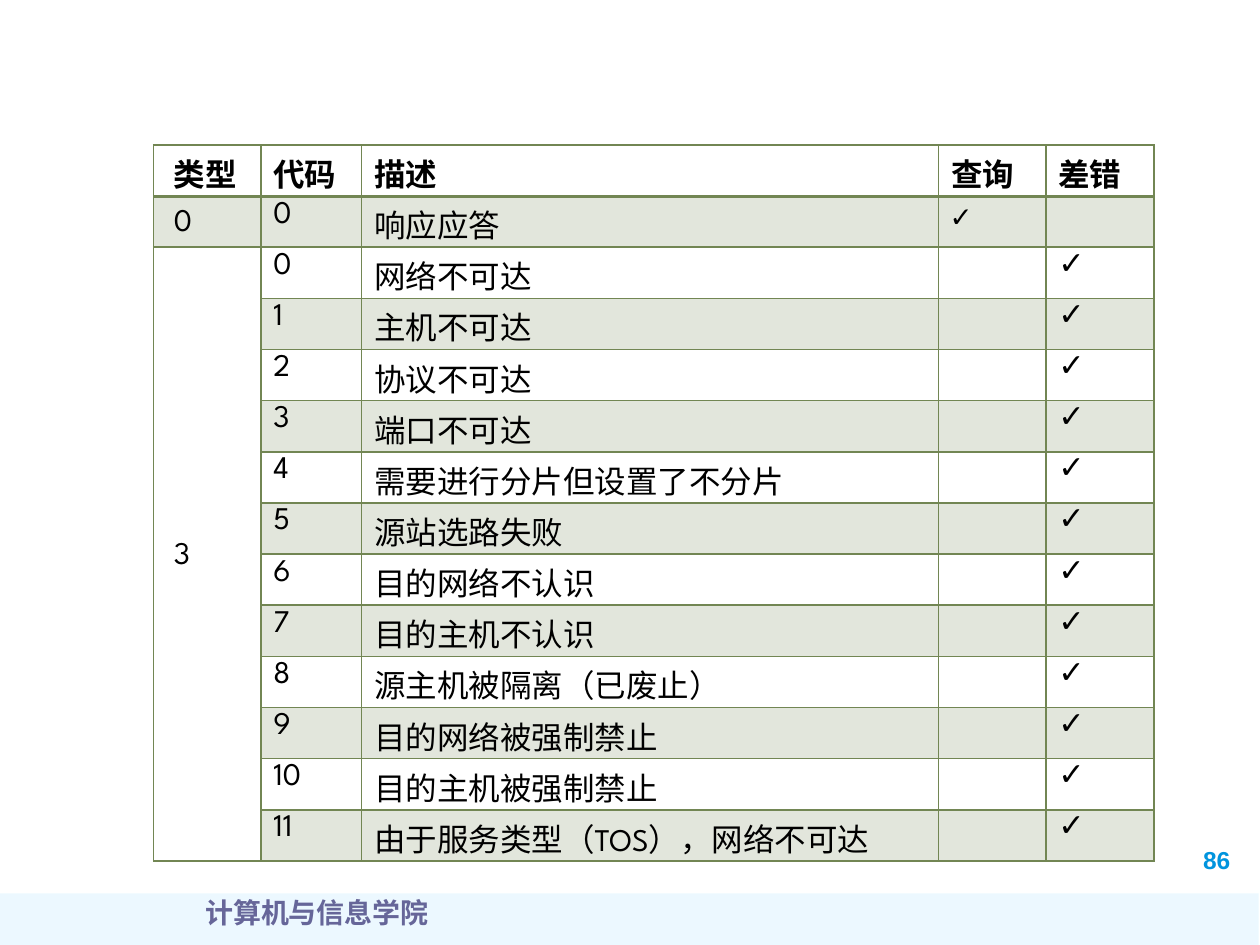
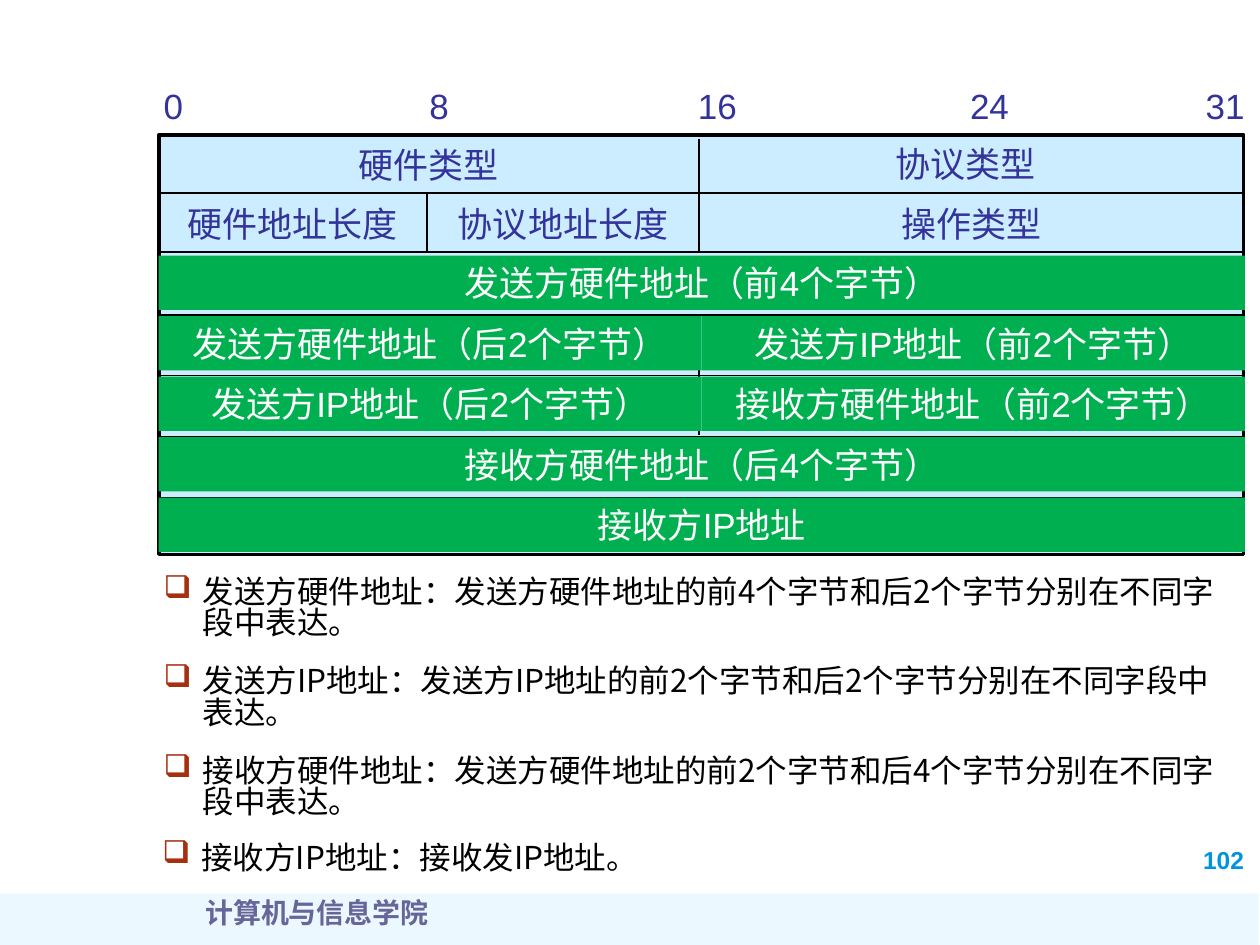
from lxml import etree
from pptx import Presentation, util as u
from pptx.dml.color import RGBColor
from pptx.enum import shapes, text
from pptx.oxml.ns import qn

Inches, Pt = u.Inches, u.Pt
COLORS = {
    "band": "A7E2FF", "number": "0094DE", "footer": "666699",
    "grid": "728653", "black": "000000", "white": "FFFFFF",
    "field": "CCECFF", "label": "333399", "address": "00B050", "bullet": "A53010",
}
CJK_FONT = "Noto Sans CJK SC"
TABLE_FONT = "League Spartan"
CHECK = "✓"
CENTER = text.PP_ALIGN.CENTER
MIDDLE = text.MSO_ANCHOR.MIDDLE


def rgb(name):
    return RGBColor.from_string(COLORS[name])


class Deck:
    """Holds the shared style and the slide being built."""

    def __init__(self):
        self.presentation = Presentation()
        self.presentation.slide_width = Inches(10)
        self.presentation.slide_height = Inches(7.5)
        self.slide = None

    def add_slide(self, number):
        self.slide = self.presentation.slides.add_slide(self.presentation.slide_layouts[6])
        self.rectangle(-0.01, 7.09, 10, 0.44, "band", opacity=21)
        self.text_box(9.45, 6.66, 0.59, 0.33, str(number), 14, "number", bold=True)
        self.text_box(0.27, 7.06, 4.49, 0.5, "计算机与信息学院", 16, "footer",
                      font="Times New Roman", bold=True, align=CENTER)

    def format_text(self, frame, content, size, color, font="Arial", bold=False, align=None):
        frame.text = content
        paragraph = frame.paragraphs[0]
        if align is not None:
            paragraph.alignment = align
        for run in paragraph.runs:
            run.font.name = font
            run.font.size = Pt(size)
            run.font.bold = bold
            run.font.color.rgb = rgb(color)
            east_asian = etree.SubElement(run._r.get_or_add_rPr(), qn("a:ea"))
            east_asian.set("typeface", CJK_FONT)
        return paragraph

    def set_fill(self, target, color, opacity=100):
        target.fill.solid()
        target.fill.fore_color.rgb = rgb(color)
        if opacity < 100:
            tint = target.fill._xPr.find(qn("a:solidFill"))[0]
            etree.SubElement(tint, qn("a:alpha")).set("val", str(opacity * 1000))

    def rectangle(self, left, top, width, height, color, line=None, opacity=100):
        shape = self.slide.shapes.add_shape(
            shapes.MSO_SHAPE.RECTANGLE, Inches(left), Inches(top), Inches(width), Inches(height))
        shape.shadow.inherit = False
        self.set_fill(shape, color, opacity)
        if line:
            shape.line.color.rgb = rgb(line)
            shape.line.width = Pt(2)
        else:
            shape.line.fill.background()
        return shape

    def text_box(self, left, top, width, height, content, size, color, wrap=True,
                 anchor=None, **style):
        box = self.slide.shapes.add_textbox(
            Inches(left), Inches(top), Inches(width), Inches(height))
        frame = box.text_frame
        frame.word_wrap = wrap
        if anchor is not None:
            frame.vertical_anchor = anchor
        return self.format_text(frame, content, size, color, **style)

    def filled_label(self, left, top, width, height, content):
        frame = self.rectangle(left, top, width, height, "address").text_frame
        frame.word_wrap = True
        frame.vertical_anchor = MIDDLE
        self.format_text(frame, content, 20, "white", align=CENTER)

    def line(self, x1, y1, x2, y2):
        connector = self.slide.shapes.add_connector(
            shapes.MSO_CONNECTOR.STRAIGHT, Inches(x1), Inches(y1), Inches(x2), Inches(y2))
        connector.line.color.rgb = rgb("black")
        connector.line.width = Pt(1)
        etree.SubElement(connector._element.spPr, qn("a:effectLst"))

    def bullet(self, left, top, width, height, content):
        paragraph = self.text_box(left, top, width, height, content, 18, "black", font=CJK_FONT)
        paragraph.line_spacing = 0.83
        properties = paragraph._p.get_or_add_pPr()
        properties.set("marL", str(Inches(0.31)))
        properties.set("indent", str(-Inches(0.31)))
        color = etree.SubElement(properties, qn("a:buClr"))
        etree.SubElement(color, qn("a:srgbClr")).set("val", COLORS["bullet"])
        etree.SubElement(properties, qn("a:buChar")).set("char", "❑")

    def cell_borders(self, cell, widths):
        """Draw the left, right, top and bottom borders, widths in points."""
        properties = cell._tc.get_or_add_tcPr()
        for position, (side, width) in enumerate(zip("LRTB", widths)):
            border = etree.Element(qn(f"a:ln{side}"), w=str(Pt(width)))
            fill = etree.SubElement(border, qn("a:solidFill"))
            etree.SubElement(fill, qn("a:srgbClr")).set("val", COLORS["grid"])
            properties.insert(position, border)

    def table(self, left, top, column_widths, row_height, rows):
        """Banded table with a bold header and a middle-aligned first column."""
        frame = self.slide.shapes.add_table(
            len(rows), len(column_widths), Inches(left), Inches(top),
            Inches(sum(column_widths)), Inches(row_height * len(rows)))
        table = frame.table
        for column, width in zip(table.columns, column_widths):
            column.width = Inches(width)
        for row_index, values in enumerate(rows):
            table.rows[row_index].height = Inches(row_height)
            for column_index, value in enumerate(values):
                cell = table.cell(row_index, column_index)
                first = column_index == 0
                cell.margin_left = Inches(0.16 if first else 0.1)
                cell.margin_right = Inches(0.1)
                cell.margin_top, cell.margin_bottom = Inches(0.04), 0
                if first:
                    cell.vertical_anchor = MIDDLE
                font = "Courier New" if value == CHECK and column_index == 3 else TABLE_FONT
                self.format_text(cell.text_frame, value, 18, "black", font=font,
                                 bold=row_index == 0)
                if row_index == 1 or (row_index % 2 and not first):
                    self.set_fill(cell, "grid", 20)
                else:
                    cell.fill.background()
                self.cell_borders(cell, (1, 1, 2 if row_index == 1 else 1,
                                         2 if row_index == 0 else 1))
        return table


def build_message_types(deck):
    deck.add_slide(86)
    unreachable = [
        "网络不可达", "主机不可达", "协议不可达", "端口不可达", "需要进行分片但设置了不分片",
        "源站选路失败", "目的网络不认识", "目的主机不认识", "源主机被隔离（已废止）",
        "目的网络被强制禁止", "目的主机被强制禁止", "由于服务类型（TOS），网络不可达",
    ]
    rows = [("类型", "代码", "描述", "查询", "差错"), ("0", "0", "响应应答", CHECK, "")]
    for code, description in enumerate(unreachable):
        rows.append(("" if code else "3", str(code), description, "", CHECK))
    table = deck.table(1.22, 1.15, [0.85, 0.8, 4.58, 0.85, 0.86], 0.406, rows)
    table.cell(2, 0).merge(table.cell(len(rows) - 1, 0))


def build_packet_format(deck):
    deck.add_slide(102)
    left, quarter, half, right = 1.25, 3.39, 5.55, 9.87
    deck.rectangle(1.26, 1.07, 8.61, 3.33, "field", line="black")
    for y in (1.53, 2, 2.5, 2.98, 3.47, 3.95):
        deck.line(left, y, right, y)
    for x, top, bottom in ((half, 1.1, 2), (half, 2.5, 3.45), (quarter, 1.54, 2.01)):
        deck.line(x, top, x, bottom)

    for bit, x in ((0, 1.2), (8, 3.31), (16, 5.44), (24, 7.6), (31, 9.47)):
        deck.text_box(x, 0.62, 0.51, 0.43, str(bit), 20, "label", wrap=False)

    header_fields = [
        (left, half, 1.09, "硬件类型"), (half - 0.1, right, 1.08, "协议类型"),
        (left, quarter, 1.56, "硬件地址长度"), (quarter, half, 1.56, "协议地址长度"),
        (half, right, 1.56, "操作类型"),
    ]
    for start, end, top, name in header_fields:
        deck.text_box(start, top, end - start, 0.43, name, 20, "label",
                      anchor=MIDDLE, align=CENTER)

    address_rows = [
        ["发送方硬件地址（前4个字节）"],
        ["发送方硬件地址（后2个字节）", "发送方IP地址（前2个字节）"],
        ["发送方IP地址（后2个字节）", "接收方硬件地址（前2个字节）"],
        ["接收方硬件地址（后4个字节）"],
        ["接收方IP地址"],
    ]
    for index, names in enumerate(address_rows):
        width = (right - left) / len(names)
        for column, name in enumerate(names):
            deck.filled_label(left + 0.01 + column * width, 2.03 + index * 0.48,
                              width, 0.43, name)

    explanations = [
        "发送方硬件地址：发送方硬件地址的前4个字节和后2个字节分别在不同字段中表达。",
        "发送方IP地址：发送方IP地址的前2个字节和后2个字节分别在不同字段中表达。",
        "接收方硬件地址：发送方硬件地址的前2个字节和后4个字节分别在不同字段中表达。",
    ]
    for index, explanation in enumerate(explanations):
        deck.bullet(1.2, 4.54 + index * 0.71, 8.68, 0.71, explanation)
    deck.bullet(1.19, 6.65, 4.54, 0.4, "接收方IP地址：接收发IP地址。")


def main():
    deck = Deck()
    build_message_types(deck)
    build_packet_format(deck)
    deck.presentation.save("out.pptx")


if __name__ == "__main__":
    main()
